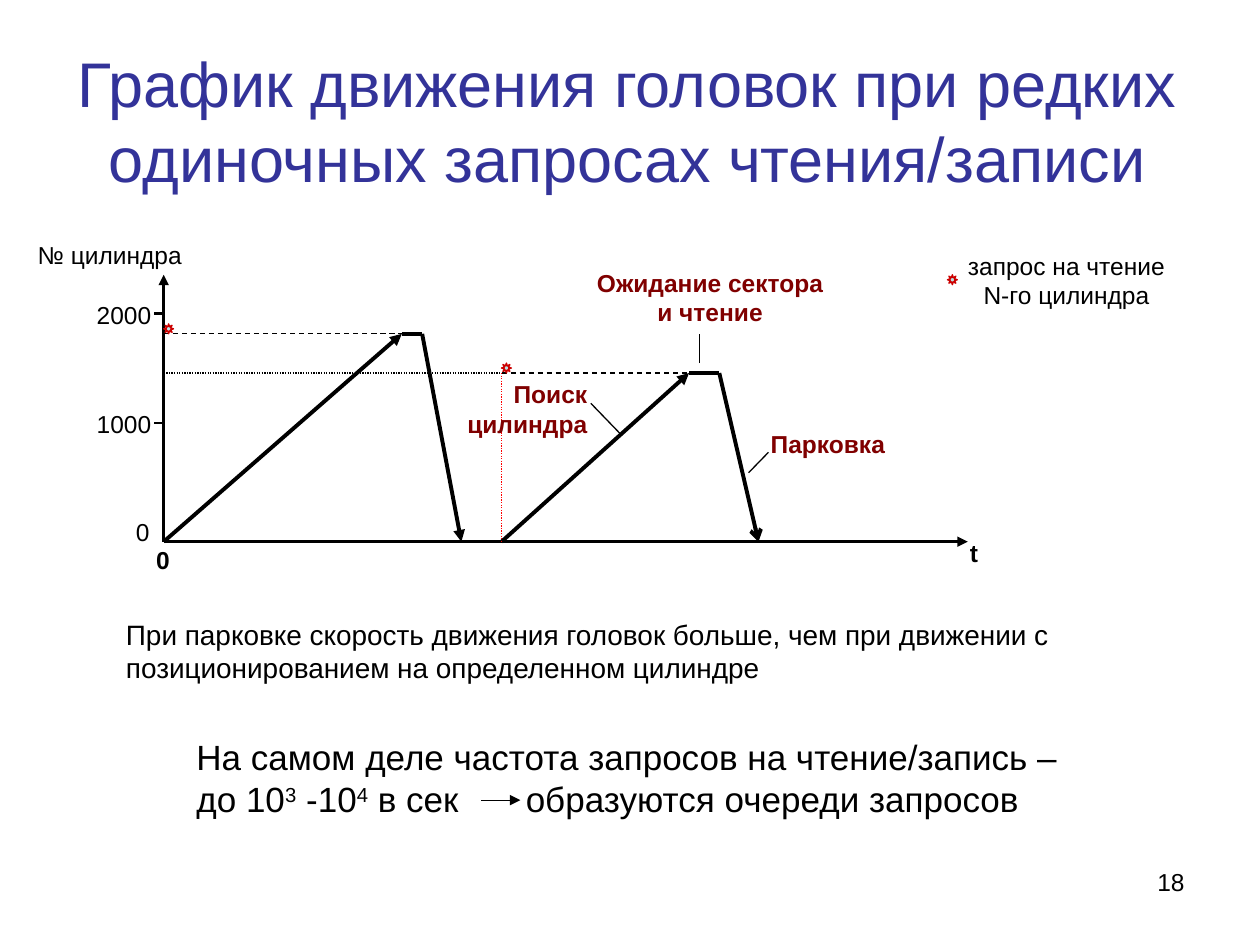
from dataclasses import dataclass

from lxml import etree
from pptx import Presentation
from pptx.dml.color import RGBColor
from pptx.enum.dml import MSO_LINE
from pptx.enum.shapes import MSO_CONNECTOR, MSO_SHAPE
from pptx.enum.text import MSO_ANCHOR, PP_ALIGN
from pptx.oxml.ns import qn
from pptx.util import Cm, Pt

LEFT, CENTER, RIGHT = PP_ALIGN.LEFT, PP_ALIGN.CENTER, PP_ALIGN.RIGHT
TOP, MIDDLE = MSO_ANCHOR.TOP, MSO_ANCHOR.MIDDLE
DASH, DOTS = MSO_LINE.DASH, MSO_LINE.ROUND_DOT
STRAIGHT, SUN = MSO_CONNECTOR.STRAIGHT, MSO_SHAPE.SUN


@dataclass(frozen=True)
class Theme:
    """Colours, type sizes and line widths of the slide."""
    font: str = "Arial"
    title: str = "333399"
    ink: str = "000000"
    stage: str = "800000"
    request: str = "CC0000"
    request_fill: str = "BBE0E3"
    marker: str = "FF0000"
    title_size: int = 36
    fact_size: int = 20
    note_size: int = 16
    label_size: int = 14
    thin: float = 0.75
    axis: float = 1.5
    path_width: float = 2.25


THEME = Theme()
X0, Y0 = 3.3, 10.92
X_END, Y_END = 19.51, 5.54


def add_text(s, box, text, size=THEME.label_size, color=THEME.ink, bold=False,
             align=LEFT, anchor=TOP, tab=None):
    """Add a text box; text is a string or a list of (text, superscript) runs."""
    sp = s.shapes.add_textbox(*map(Cm, box))
    tf = sp.text_frame
    tf.word_wrap = True
    tf.vertical_anchor = anchor
    p = tf.paragraphs[0]
    p.alignment = align
    if tab:
        tabs = etree.SubElement(p._p.get_or_add_pPr(), qn("a:tabLst"))
        etree.SubElement(tabs, qn("a:tab"), pos=str(Cm(tab)), algn="l")
    for part, superscript in [(text, False)] if isinstance(text, str) else text:
        r = p.add_run()
        r.text = part
        r.font.name, r.font.size, r.font.bold = THEME.font, Pt(size), bold
        r.font.color.rgb = RGBColor.from_string(color)
        if superscript:
            r._r.get_or_add_rPr().set("baseline", "30000")


def add_line(s, start, end, width=THEME.thin, color=THEME.ink, dash=None, head=None):
    """Add a straight line, with an arrowhead of type head at its end."""
    sp = s.shapes.add_connector(STRAIGHT, *map(Cm, (*start, *end)))
    sp.line.width = Pt(width)
    sp.line.color.rgb = RGBColor.from_string(color)
    if dash:
        sp.line.dash_style = dash
    if head:
        etree.SubElement(sp.line._get_or_add_ln(), qn("a:tailEnd"), type=head)
    etree.SubElement(sp._element.spPr, qn("a:effectLst"))


def add_request(s, x, y):
    """Add the sun mark of a read request."""
    sp = s.shapes.add_shape(SUN, Cm(x), Cm(y), Cm(0.2), Cm(0.2))
    sp.shadow.inherit = False
    sp.fill.solid()
    sp.fill.fore_color.rgb = RGBColor.from_string(THEME.request_fill)
    sp.line.color.rgb = RGBColor.from_string(THEME.request)
    sp.line.width = Pt(THEME.thin)


def add_axes(s):
    """Add the time and cylinder axes with ticks and labels."""
    for end in ((X0, Y_END), (X_END, Y0)):
        add_line(s, (X0, Y0), end, THEME.axis, head="triangle")
    for label, y in (("2000", 6.32), ("1000", 8.53)):
        add_line(s, (X0, y), (X0 - 0.2, y), THEME.axis)
        add_text(s, (1.7, y - 0.4, 1.8, 0.86), label)
    add_text(s, (2.49, 10.29, 1.2, 0.86), "0")
    add_text(s, (2.9, 10.87, 1.2, 0.86), "0", bold=True)
    add_text(s, (19.3, 10.72, 1.2, 0.86), "t", bold=True)
    add_text(s, (0.51, 4.72, 3.61, 0.86), "№ цилиндра")


def add_cycle(s, start, found, read, parked, level, park_head):
    """Add one seek, read and park cycle of the heads."""
    add_line(s, (start, level), (found, level), dash=DASH)
    add_line(s, (start, Y0), (found, level), THEME.path_width, head="triangle")
    add_line(s, (found, level), (read, level), THEME.path_width)
    add_line(s, (read, level), (parked, Y0), THEME.path_width, head=park_head)
    add_request(s, start, level - 0.2)


def add_stage(s, box, text, align, start, end):
    """Add the name of a stage and its leader line."""
    add_text(s, box, text, color=THEME.stage, bold=True, align=align)
    add_line(s, start, end)


def main():
    """Build the slide and save it."""
    prs = Presentation()
    prs.slide_width, prs.slide_height = Cm(25.4), Cm(19.05)
    s = prs.slides.add_slide(prs.slide_layouts[6])
    add_text(s, (0.2, 0.51, 24.9, 3.81),
             "График движения головок при редких одиночных запросах чтения/записи",
             size=THEME.title_size, color=THEME.title, align=CENTER, anchor=MIDDLE)

    add_axes(s)
    add_cycle(s, X0, 8.1, 8.51, 9.3, 6.73, "triangle")
    second, level = 10.11, 7.52
    add_cycle(s, second, 13.89, 14.5, 15.29, level, "arrow")
    add_line(s, (second, level), (second, Y0), color=THEME.marker, dash=DOTS)
    add_line(s, (X0, level), (second, level), dash=DOTS)

    add_stage(s, (9.09, 7.52, 3, 1.45), "Поиск цилиндра", RIGHT,
              (11.91, 8.13), (12.5, 8.74))
    add_stage(s, (15.09, 8.53, 3.2, 0.86), "Парковка", CENTER,
              (15.09, 9.53), (15.49, 9.12))
    add_stage(s, (11.71, 5.28, 5.21, 1.45), "Ожидание сектора и чтение", CENTER,
              (14.1, 7.32), (14.1, 6.73))
    add_request(s, 19.1, 5.54)
    add_text(s, (19.1, 4.93, 4.8, 1.45), "запрос на чтение N-го цилиндра", align=CENTER)

    add_text(s, (2.29, 12.32, 19.41, 1.63),
             "При парковке скорость движения головок больше, чем при движении с "
             "позиционированием на определенном цилиндре", size=THEME.note_size)
    add_text(s, (3.71, 14.71, 18.21, 3.25),
             [("На самом деле частота запросов на чтение/запись – до 10", False),
              ("3", True), (" -10", False), ("4", True),
              (" в сек\tобразуются очереди запросов", False)],
             size=THEME.fact_size, tab=6.64)
    add_line(s, (9.7, 16.13), (10.49, 16.13), head="triangle")
    add_text(s, (18.21, 17.35, 5.92, 1.32), "18", align=RIGHT)
    prs.save("out.pptx")


if __name__ == "__main__":
    main()
